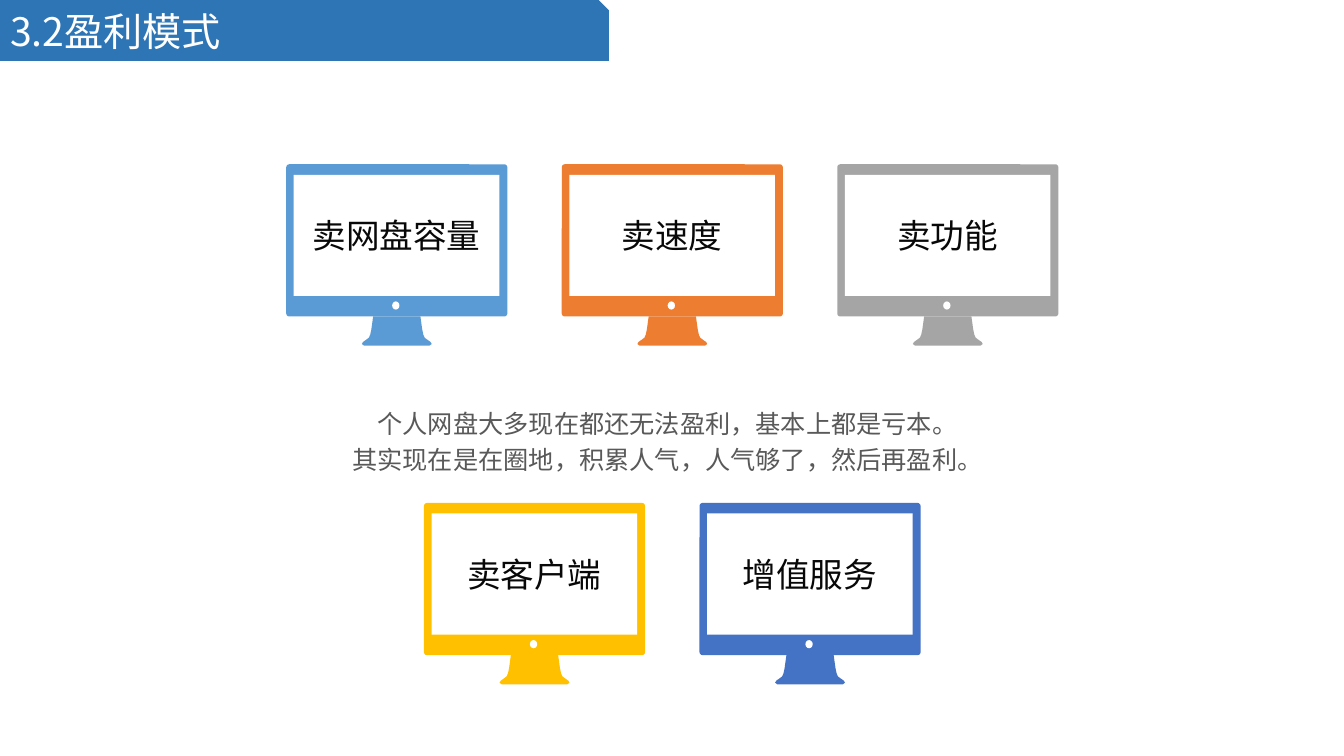
import dataclasses
import typing

import lxml.etree
import pptx
import pptx.dml.color
import pptx.enum.shapes
import pptx.enum.text
import pptx.oxml.ns
import pptx.util

Preset = pptx.enum.shapes.MSO_SHAPE
Align = pptx.enum.text.PP_ALIGN
Anchor = pptx.enum.text.MSO_ANCHOR


@dataclasses.dataclass(frozen=True)
class Theme:
    font: str = "Noto Sans CJK SC"
    title_size: int = 28
    label_size: int = 24
    body_size: int = 18
    banner: str = "2E75B6"
    white: str = "FFFFFF"
    label: str = "080808"
    body: str = "595959"
    blue: str = "5B9BD5"
    orange: str = "ED7D31"
    gray: str = "A5A5A5"
    gold: str = "FFC000"
    indigo: str = "4472C4"


@dataclasses.dataclass(frozen=True)
class Box:
    left: float
    top: float
    width: float
    height: float

    def share(self, left: float, top: float, width: float, height: float) -> "Box":
        return Box(
            self.left + self.width * left / 100,
            self.top + self.height * top / 100,
            self.width * width / 100,
            self.height * height / 100,
        )

    def emu(self) -> tuple[int, int, int, int]:
        return tuple(round(length) for length in dataclasses.astuple(self))


@dataclasses.dataclass(frozen=True)
class Monitor:
    label: str
    column: float
    row: int
    color: str


THEME = Theme()
SLIDE = Box(0, 0, pptx.util.Inches(13.33), pptx.util.Inches(7.5))
FIRST_MONITOR = SLIDE.share(21.3, 21.73, 16.45, 24)
COLUMN_STEP = SLIDE.width * 20.5 / 100
ROW_STEP = SLIDE.height * 44.8 / 100
STAND_SIDE = [
    (10.7, 83.9), (11.5, 91), (12, 93.9), (12.6, 95.6),
    (13.8, 96.7), (15.3, 98), (15.8, 99.1), (14.8, 100),
]
MONITORS = [
    Monitor("卖网盘容量", 0, 0, THEME.blue),
    Monitor("卖速度", 1, 0, THEME.orange),
    Monitor("卖功能", 2, 0, THEME.gray),
    Monitor("卖客户端", 0.5, 1, THEME.gold),
    Monitor("增值服务", 1.5, 1, THEME.indigo),
]
EXPLANATION = [
    "个人网盘大多现在都还无法盈利，基本上都是亏本。",
    "其实现在是在圈地，积累人气，人气够了，然后再盈利。",
]


def rgb(color: str) -> pptx.dml.color.RGBColor:
    return pptx.dml.color.RGBColor.from_string(color)


def paint(shape: typing.Any, color: str) -> None:
    shape.shadow.inherit = False
    shape.fill.solid()
    shape.fill.fore_color.rgb = rgb(color)
    shape.line.fill.background()


def add_preset(shapes: typing.Any, preset: Preset, box: Box, color: str) -> typing.Any:
    shape = shapes.add_shape(preset, *box.emu())
    paint(shape, color)
    return shape


def place(placeholder: typing.Any, box: Box) -> None:
    placeholder.left, placeholder.top, placeholder.width, placeholder.height = box.emu()


def write(
    shape: typing.Any, text: str, size: int, color: str, align: Align, anchor: Anchor
) -> None:
    frame = shape.text_frame
    frame.text = text
    frame.word_wrap = True
    frame.auto_size = pptx.enum.text.MSO_AUTO_SIZE.NONE
    frame.vertical_anchor = anchor
    for paragraph in frame.paragraphs:
        paragraph.alignment = align
        paragraph.space_before = pptx.util.Pt(0)
        for run in paragraph.runs:
            run.font.size = pptx.util.Pt(size)
            run.font.name = THEME.font
            run.font.color.rgb = rgb(color)
            east_asian = lxml.etree.SubElement(
                run.font._element, pptx.oxml.ns.qn("a:ea")
            )
            east_asian.set("typeface", THEME.font)


def draw_heading(slide: typing.Any) -> None:
    area = SLIDE.share(0, 0, 45.3, 8.05)
    banner = add_preset(slide.shapes, Preset.SNIP_1_RECTANGLE, area, THEME.banner)
    heading = slide.shapes.title
    heading.element.addprevious(banner.element)
    place(heading, area)
    write(heading, "3.2盈利模式", THEME.title_size, THEME.white, Align.LEFT, Anchor.MIDDLE)


def draw_explanation(slide: typing.Any) -> None:
    explanation = slide.placeholders[1]
    place(explanation, SLIDE.share(20.93, 52.53, 57.46, 15.73))
    write(
        explanation, "\n".join(EXPLANATION), THEME.body_size, THEME.body,
        Align.CENTER, Anchor.TOP,
    )
    for sentence in explanation.text_frame.paragraphs:
        sentence.line_spacing = 1.2
        properties = sentence._p.get_or_add_pPr()
        properties.set("marL", "0")
        properties.set("indent", "0")
        lxml.etree.SubElement(properties, pptx.oxml.ns.qn("a:buNone"))


def draw_stand(shapes: typing.Any, area: Box, color: str) -> None:
    right = [(50 + half, y) for half, y in STAND_SIDE]
    left = [(50 - half, y) for half, y in reversed(STAND_SIDE)]
    outline = [
        (round(area.left + area.width * x / 100), round(area.top + area.height * y / 100))
        for x, y in right + left
    ]
    builder = shapes.build_freeform(*outline[0])
    builder.add_line_segments(outline[1:], close=True)
    paint(builder.convert_to_shape(), color)


def draw_monitor(shapes: typing.Any, monitor: Monitor) -> None:
    area = dataclasses.replace(
        FIRST_MONITOR,
        left=FIRST_MONITOR.left + monitor.column * COLUMN_STEP,
        top=FIRST_MONITOR.top + monitor.row * ROW_STEP,
    )
    casing = add_preset(
        shapes, Preset.ROUNDED_RECTANGLE, area.share(0, 0, 100, 83.9), monitor.color
    )
    casing.adjustments[0] = 0.02
    draw_stand(shapes, area, monitor.color)
    add_preset(shapes, Preset.OVAL, area.share(47.9, 75.6, 3.3, 4.5), THEME.white)
    screen = add_preset(
        shapes, Preset.RECTANGLE, area.share(3.4, 5.8, 93, 66.8), THEME.white
    )
    write(
        screen, monitor.label, THEME.label_size, THEME.label, Align.CENTER, Anchor.MIDDLE
    )


def main() -> None:
    presentation = pptx.Presentation()
    presentation.slide_width = SLIDE.width
    presentation.slide_height = SLIDE.height
    slide = presentation.slides.add_slide(presentation.slide_layouts[1])
    draw_heading(slide)
    draw_explanation(slide)
    for monitor in MONITORS:
        draw_monitor(slide.shapes, monitor)
    presentation.save("out.pptx")


if __name__ == "__main__":
    main()
